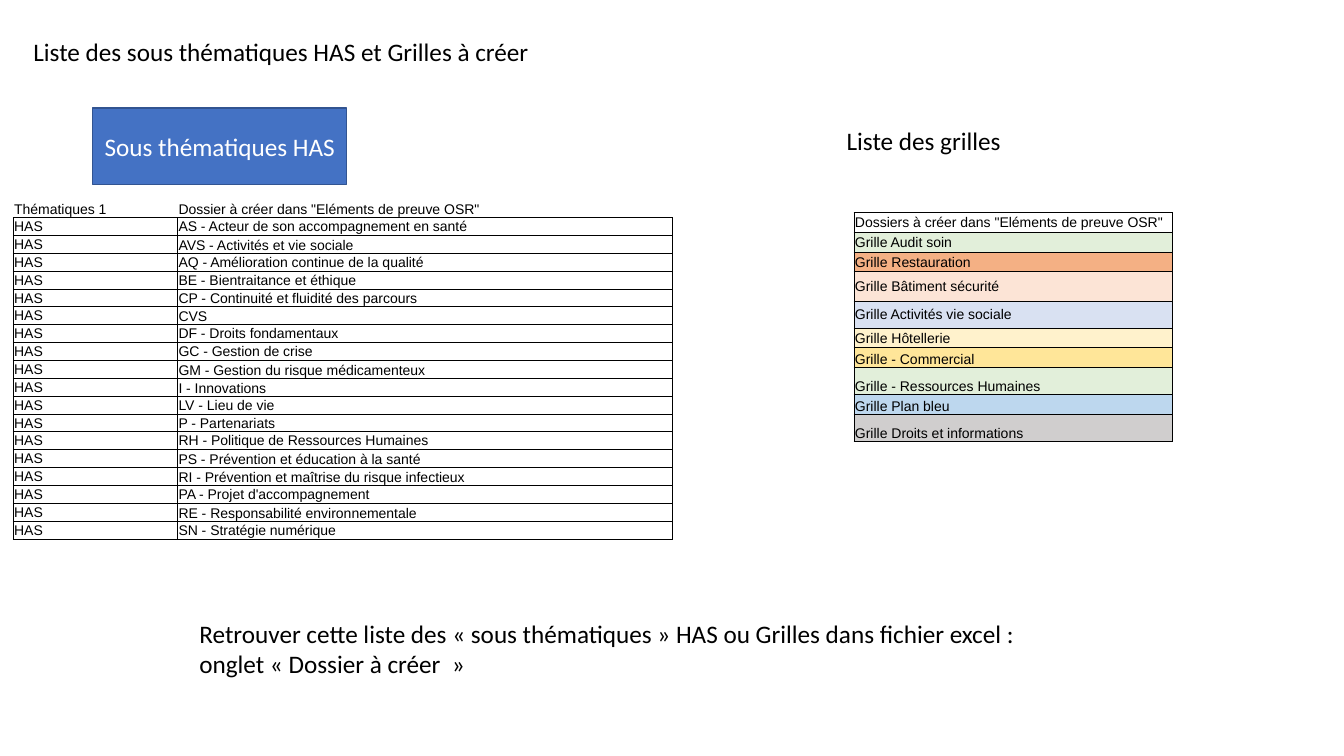
from dataclasses import dataclass, field

from lxml import etree
from pptx import Presentation
from pptx.dml.color import RGBColor
from pptx.enum.shapes import MSO_SHAPE
from pptx.enum.text import MSO_ANCHOR, MSO_AUTO_SIZE, PP_ALIGN
from pptx.oxml.ns import qn
from pptx.util import Inches, Pt

COLORS = {
    "black": "000000", "white": "FFFFFF", "blue": "4472C4", "navy": "325491",
    "green": "E2EFDA", "orange": "F4B084", "peach": "FCE4D6", "lavender": "D9E1F2",
    "cream": "FFF2CC", "yellow": "FFE699", "sky": "BDD7EE", "grey": "D0CECE",
}
MIDDLE, BOTTOM = MSO_ANCHOR.MIDDLE, MSO_ANCHOR.BOTTOM


def rgb(name):
    return RGBColor.from_string(COLORS[name])


@dataclass
class SlideBuilder:
    """Style and current slide; lengths are percentages of the slide's size."""
    prs: object
    text_font: str = "Calibri"
    table_font: str = "Arial"
    text_size: int = 18
    table_size: int = 10
    slide: object = field(init=False)

    def __post_init__(self):
        self.slide = self.prs.slides.add_slide(self.prs.slide_layouts[5])

    def x(self, share):
        return round(self.prs.slide_width * share / 100)

    def y(self, share):
        return round(self.prs.slide_height * share / 100)

    def box(self, left, top, width, height):
        return self.x(left), self.y(top), self.x(width), self.y(height)

    def set_text(self, frame, lines, font, size, color="black", align=PP_ALIGN.LEFT):
        frame.word_wrap = True
        frame.text = lines
        for paragraph in frame.paragraphs:
            paragraph.alignment = align
            for run in paragraph.runs:
                run.font.name, run.font.size = font, Pt(size)
                run.font.color.rgb = rgb(color)

    def title(self, text, *place):
        shape = self.slide.shapes.title
        shape.left, shape.top, shape.width, shape.height = self.box(*place)
        self.set_text(shape.text_frame, text, self.text_font, self.text_size)
        shape.text_frame.vertical_anchor = MSO_ANCHOR.TOP
        shape.text_frame.auto_size = MSO_AUTO_SIZE.NONE

    def text(self, text, *place):
        frame = self.slide.shapes.add_textbox(*self.box(*place)).text_frame
        self.set_text(frame, text, self.text_font, self.text_size)

    def label(self, text, *place):
        shape = self.slide.shapes.add_shape(MSO_SHAPE.RECTANGLE, *self.box(*place))
        shape.shadow.inherit = False
        shape.fill.solid()
        shape.fill.fore_color.rgb = rgb("blue")
        shape.line.color.rgb, shape.line.width = rgb("navy"), Pt(1)
        shape.text_frame.vertical_anchor = MIDDLE
        self.set_text(shape.text_frame, text, self.text_font, self.text_size,
                      "white", PP_ALIGN.CENTER)

    def borders(self, cell, sides):
        props = cell._tc.get_or_add_tcPr()
        for side in "LRTB":
            line = etree.SubElement(props, qn(f"a:ln{side}"), w=str(Pt(0.5)))
            if side in sides:
                fill = etree.SubElement(line, qn("a:solidFill"))
                etree.SubElement(fill, qn("a:srgbClr"), val=COLORS["black"])
            else:
                etree.SubElement(line, qn("a:noFill"))

    def cell(self, cell, text, anchor, fill=None, sides="LRTB"):
        cell.margin_left = cell.margin_right = cell.margin_top = Inches(0.01)
        cell.margin_bottom = 0
        cell.vertical_anchor = anchor
        self.borders(cell, sides)
        if fill:
            cell.fill.solid()
            cell.fill.fore_color.rgb = rgb(fill)
        else:
            cell.fill.background()
        self.set_text(cell.text_frame, text, self.table_font, self.table_size)

    def table(self, left, top, widths, heights, rows):
        place = self.box(left, top, sum(widths), sum(heights))
        table = self.slide.shapes.add_table(len(rows), len(widths), *place).table
        table.first_row = table.horz_banding = False
        for column, width in zip(table.columns, widths):
            column.width = self.x(width)
        for row, height, specs in zip(table.rows, heights, rows):
            row.height = self.y(height)
            for cell, spec in zip(row.cells, specs):
                self.cell(cell, *spec)


THEMES = [
    ("AS - Acteur de son accompagnement en santé", MIDDLE),
    ("AVS - Activités et vie sociale", BOTTOM),
    ("AQ - Amélioration continue de la qualité", MIDDLE),
    ("BE - Bientraitance et éthique", MIDDLE),
    ("CP - Continuité et fluidité des parcours", BOTTOM),
    ("CVS", BOTTOM),
    ("DF - Droits fondamentaux", MIDDLE),
    ("GC - Gestion de crise", MIDDLE),
    ("GM - Gestion du risque médicamenteux", BOTTOM),
    ("I - Innovations", BOTTOM),
    ("LV - Lieu de vie", MIDDLE),
    ("P - Partenariats", MIDDLE),
    ("RH - Politique de Ressources Humaines", MIDDLE),
    ("PS - Prévention et éducation à la santé", BOTTOM),
    ("RI - Prévention et maîtrise du risque infectieux", BOTTOM),
    ("PA - Projet d'accompagnement", MIDDLE),
    ("RE - Responsabilité environnementale", BOTTOM),
    ("SN - Stratégie numérique", BOTTOM),
]
GRIDS = [
    ("Dossiers à créer dans \"Eléments de preuve OSR\"", MIDDLE, None),
    ("Grille Audit soin", MIDDLE, "green"),
    ("Grille Restauration", MIDDLE, "orange"),
    ("Grille Bâtiment sécurité", MIDDLE, "peach"),
    ("Grille Activités vie sociale", MIDDLE, "lavender"),
    ("Grille Hôtellerie", MIDDLE, "cream"),
    ("Grille - Commercial", BOTTOM, "yellow"),
    ("Grille - Ressources Humaines", BOTTOM, "green"),
    ("Grille Plan bleu", BOTTOM, "sky"),
    ("Grille Droits et informations", BOTTOM, "grey"),
]
GRID_HEIGHTS = [2.6, 2.6, 2.6, 3.87, 3.6, 2.6, 2.6, 3.6, 2.6, 3.6]

prs = Presentation()
prs.slide_width, prs.slide_height = Inches(13.33), Inches(7.5)
page = SlideBuilder(prs)

page.title("Liste des sous thématiques HAS et Grilles à créer", 1.73, 4.13, 56.94, 5.33)
page.text("Liste des grilles", 62.26, 15.87, 21.46, 5.33)
page.label("Sous thématiques HAS", 6.9, 14.27, 18.9, 10.13)
page.text("Retrouver cette liste des «\u00a0sous thématiques\u00a0» HAS ou Grilles dans fichier excel : \n"
          "onglet «\u00a0Dossier à créer\u00a0\u00a0»", 14.1, 81.07, 69.69, 9.47)

headings = ["Thématiques 1", "Dossier à créer dans \"Eléments de preuve OSR\""]
theme_rows = [[(heading, BOTTOM, None, "B") for heading in headings]]
theme_rows += [[("HAS", MIDDLE), theme] for theme in THEMES]
page.table(0.98, 26.4, [12.23, 36.83], [2.34] * len(theme_rows), theme_rows)
page.table(63.54, 28.13, [23.7], GRID_HEIGHTS, [[grid] for grid in GRIDS])

prs.save("out.pptx")
